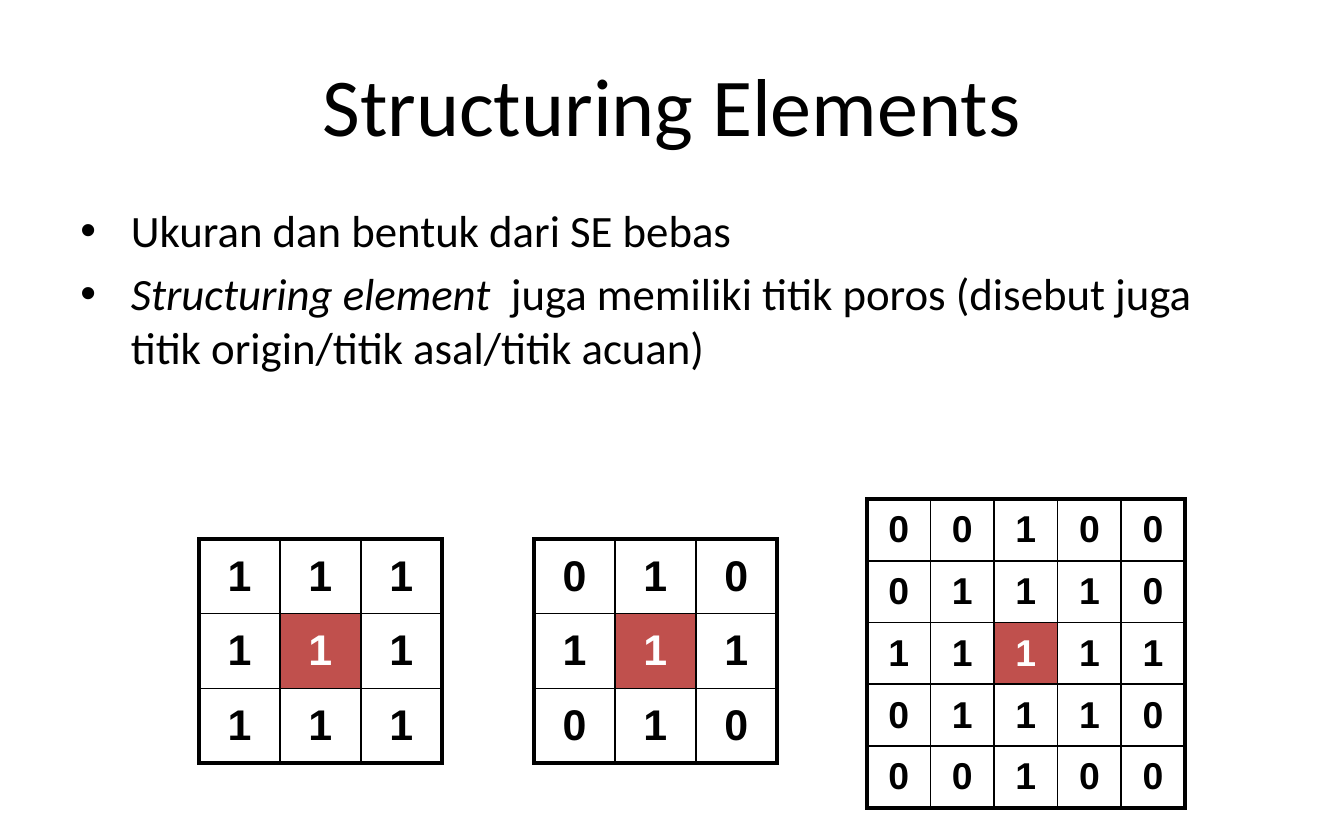
from dataclasses import dataclass
from lxml import etree
from pptx import Presentation
from pptx import util as u
from pptx.dml.color import RGBColor
from pptx.enum import text
from pptx.oxml import ns


@dataclass(frozen=True)
class Theme:
    ink: str = "000000"
    pale: str = "FFFFFF"
    pivot: str = "C0504D"
    sans: str = "Calibri"
    digit: str = "Arial"
    title: int = 44
    body: int = 24
    thin: float = 1
    thick: float = 2.25


@dataclass(frozen=True)
class Grid:
    left: int
    top: int
    width: int
    height: int
    size: int
    rows: tuple[str, ...]


THEME = Theme()
SCALE = 914400 / 134.4
GRIDS = (
    Grid(199, 539, 243, 224, 23, ("111", "111", "111")),
    Grid(867, 499, 318, 309, 20, ("00100", "01110", "11111", "01110", "00100")),
    Grid(534, 539, 243, 224, 23, ("010", "111", "010")),
)
POINTS = (
    (("Ukuran dan bentuk dari SE bebas", False),),
    (
        ("Structuring element ", True),
        (" juga memiliki titik poros (disebut juga titik origin/titik asal/titik acuan)", False),
    ),
)


def px(count: float) -> u.Emu:
    return u.Emu(round(count * SCALE))


def place(shape, left: int, top: int, width: int, height: int) -> None:
    shape.left, shape.top = px(left), px(top)
    shape.width, shape.height = px(width), px(height)


def write(para, words: str, face: str, size: int, color: str, bold=False, slant=False) -> None:
    run = para.add_run()
    run.text = words
    font = run.font
    font.name, font.size = face, u.Pt(size)
    font.bold, font.italic = bold, slant
    font.color.rgb = RGBColor.from_string(color)


def border(cell, side: str, width: float) -> None:
    props = cell._tc.get_or_add_tcPr()
    line = etree.SubElement(props, ns.qn(f"a:ln{side}"), w=str(u.Pt(width)))
    fill = etree.SubElement(line, ns.qn("a:solidFill"))
    etree.SubElement(fill, ns.qn("a:srgbClr"), val=THEME.ink)


def draw(slide, grid: Grid) -> None:
    last = len(grid.rows) - 1
    count = last + 1
    frame = slide.shapes.add_table(
        count, count, px(grid.left), px(grid.top), px(grid.width), px(grid.height)
    )
    table = frame.table
    table.first_row = table.horz_banding = False
    for col in table.columns:
        col.width = px(grid.width / count)
    for row in table.rows:
        row.height = px(grid.height / count)
    for y, digits in enumerate(grid.rows):
        for x, digit in enumerate(digits):
            cell = table.cell(y, x)
            edges = {"L": x == 0, "R": x == last, "T": y == 0, "B": y == last}
            for side, outer in edges.items():
                border(cell, side, THEME.thick if outer else THEME.thin)
            pivot = x == y == last // 2
            if pivot:
                cell.fill.solid()
                cell.fill.fore_color.rgb = RGBColor.from_string(THEME.pivot)
            else:
                cell.fill.background()
            cell.margin_left = cell.margin_right = px(11)
            cell.margin_top = cell.margin_bottom = px(5)
            cell.vertical_anchor = text.MSO_ANCHOR.MIDDLE
            para = cell.text_frame.paragraphs[0]
            para.alignment = text.PP_ALIGN.CENTER
            color = THEME.pale if pivot else THEME.ink
            write(para, digit, THEME.digit, grid.size, color, bold=True)


def main() -> None:
    deck = Presentation()
    deck.slide_width, deck.slide_height = px(1344), px(840)
    slide = deck.slides.add_slide(deck.slide_layouts[1])

    title = slide.shapes.title
    place(title, 67, 34, 1210, 140)
    title.text_frame.vertical_anchor = text.MSO_ANCHOR.MIDDLE
    head = title.text_frame.paragraphs[0]
    head.alignment = text.PP_ALIGN.CENTER
    write(head, "Structuring Elements", THEME.sans, THEME.title, THEME.ink)

    body = slide.placeholders[1]
    place(body, 67, 196, 1210, 554)
    frame = body.text_frame
    for i, point in enumerate(POINTS):
        para = frame.add_paragraph() if i else frame.paragraphs[0]
        para.space_before = u.Pt(5 if i else 0)
        for words, slant in point:
            write(para, words, THEME.sans, THEME.body, THEME.ink, slant=slant)

    for grid in GRIDS:
        draw(slide, grid)
    deck.save("out.pptx")


if __name__ == "__main__":
    main()
